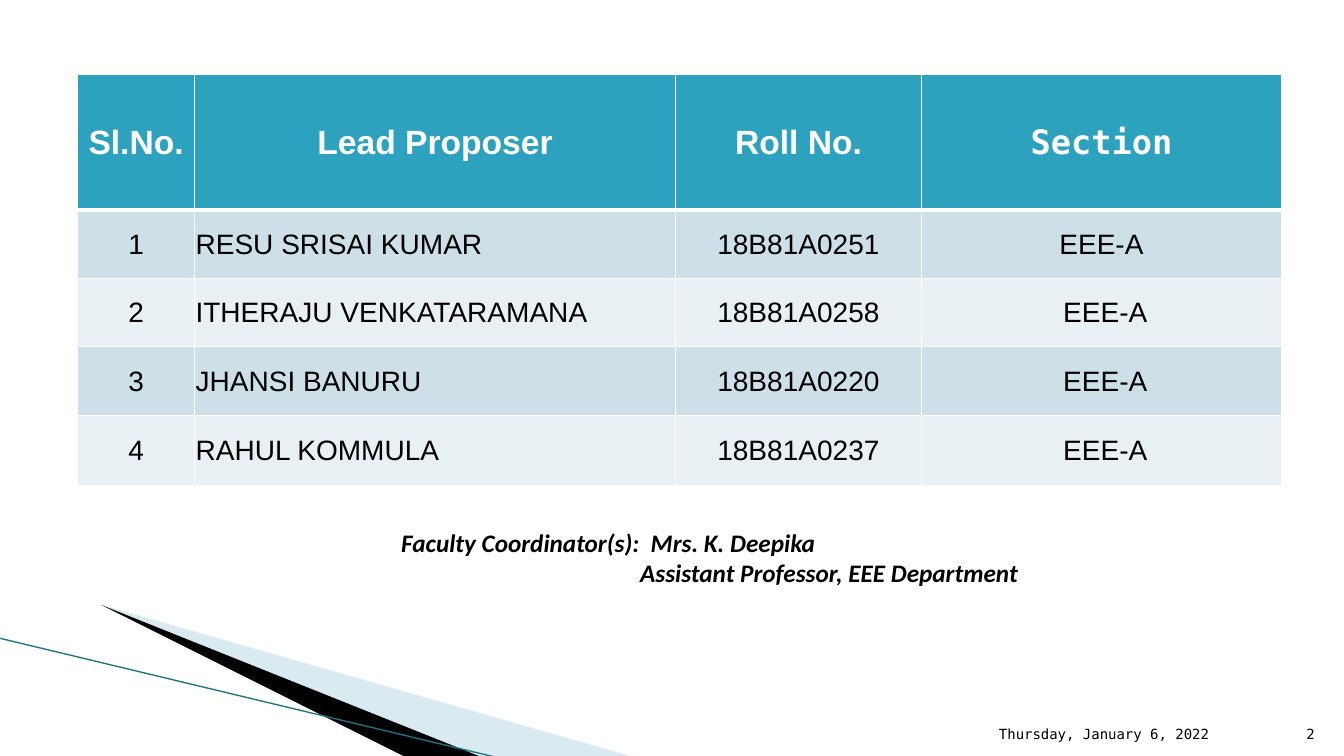
from lxml import etree
from pptx import Presentation
from pptx.dml.color import RGBColor
from pptx.enum import shapes, text
from pptx.oxml import ns
from pptx.util import Inches, Pt

# Content
HEADER = ("Sl.No.", "Lead Proposer", "Roll No.", "Section")
STUDENTS = [
    ("1", "RESU SRISAI KUMAR", "18B81A0251", "EEE-A"),
    ("2", "ITHERAJU VENKATARAMANA", "18B81A0258", " EEE-A"),
    ("3", "JHANSI BANURU", "18B81A0220", " EEE-A"),
    ("4", "RAHUL KOMMULA", "18B81A0237", " EEE-A"),
]
COLUMN_WIDTHS = (1.16, 4.77, 2.44, 3.57)
ROW_HEIGHTS = (1.34, 0.68, 0.68, 0.68, 0.7)
HEADER_FILL, BAND_FILLS = "2DA2BF", ("CDE0E8", "E8F0F4")
MONO = "DejaVu Sans Mono"
LEFT, CENTER, RIGHT = (text.PP_ALIGN.LEFT, text.PP_ALIGN.CENTER, text.PP_ALIGN.RIGHT)

HEADER_FONT = {"name": "Arial", "size": Pt(24), "bold": True}
BODY_FONT = {"name": "Arial", "size": Pt(20), "bold": False}
FOOTER_FONT = {"name": MONO, "size": Pt(10)}
COORDINATOR_FONT = {"name": "Calibri", "size": Pt(18), "bold": True, "italic": True}

# Corner wedges: points, fill, opacity in percent
WEDGES = [
    ([(0.73, 6.5), (7.93, 7.51), (6.08, 7.51)], "A0CBDC", 40),
    ([(0.71, 6.49), (6.09, 7.51), (4.96, 7.52)], "000000", 100),
]
EDGE = ((-0.01, 6.33), (4.95, 7.52))

# Text boxes: place, anchor, lines as (text, alignment, left indent), font
TEXT_BOXES = [
    ((9.81, 7.01, 2.8, 0.4), text.MSO_ANCHOR.BOTTOM,
     [("Thursday, January 6, 2022", LEFT, 0)], FOOTER_FONT),
    ((12.61, 7.01, 0.53, 0.4), text.MSO_ANCHOR.BOTTOM,
     [("2", RIGHT, 0)], FOOTER_FONT),
    ((3.88, 5.18, 9.45, 0.71), text.MSO_ANCHOR.TOP,
     [("Faculty Coordinator(s):  Mrs. K. Deepika", LEFT, 0),
      ("Assistant Professor, EEE Department", LEFT, 2.37)], COORDINATOR_FONT),
]


def color(value):
    return RGBColor.from_string(value)


def write(paragraph, line, alignment, font, font_color="000000"):
    run = paragraph.add_run()
    run.text = line
    paragraph.alignment = alignment
    for name, value in font.items():
        setattr(run.font, name, value)
    run.font.color.rgb = color(font_color)


def add_borders(cell, widths):
    properties = cell._tc.get_or_add_tcPr()
    for side, width in widths.items():
        line = etree.SubElement(properties, ns.qn("a:ln" + side), w=str(Pt(width)))
        fill = etree.SubElement(line, ns.qn("a:solidFill"))
        etree.SubElement(fill, ns.qn("a:srgbClr"), val="FFFFFF")


presentation = Presentation()
presentation.slide_width, presentation.slide_height = Inches(13.33), Inches(7.5)
slide = presentation.slides.add_slide(presentation.slide_layouts[6])

# Corner decoration
for points, fill, opacity in WEDGES:
    builder = slide.shapes.build_freeform(*points[0], scale=Inches(1))
    builder.add_line_segments(points[1:])
    wedge = builder.convert_to_shape()
    wedge.shadow.inherit = False
    wedge.line.fill.background()
    wedge.fill.solid()
    wedge.fill.fore_color.rgb = color(fill)
    if opacity < 100:
        fill_color = wedge._element.spPr.find(".//" + ns.qn("a:srgbClr"))
        etree.SubElement(fill_color, ns.qn("a:alpha"), val=str(opacity * 1000))

edge = slide.shapes.add_connector(
    shapes.MSO_CONNECTOR.STRAIGHT, *(Inches(v) for point in EDGE for v in point))
edge.line.width = Pt(0.95)
edge.line.color.rgb = color("1B7587")
etree.SubElement(edge._element.spPr, ns.qn("a:effectLst"))

# Student table
rows = [HEADER, *STUDENTS]
place = (0.77, 0.74, sum(COLUMN_WIDTHS), sum(ROW_HEIGHTS))
table = slide.shapes.add_table(
    len(rows), len(HEADER), *(Inches(v) for v in place)).table
for column, width in zip(table.columns, COLUMN_WIDTHS):
    column.width = Inches(width)
for row, height in zip(table.rows, ROW_HEIGHTS):
    row.height = Inches(height)

for r, values in enumerate(rows):
    is_header = r == 0
    borders = {"L": 1, "R": 1, "T": 3 if r == 1 else 1, "B": 3 if is_header else 1}
    for c, value in enumerate(values):
        cell = table.cell(r, c)
        add_borders(cell, borders)
        cell.fill.solid()
        cell.fill.fore_color.rgb = color(
            HEADER_FILL if is_header else BAND_FILLS[(r - 1) % 2])
        cell.vertical_anchor = text.MSO_ANCHOR.MIDDLE
        cell.margin_left = cell.margin_right = cell.margin_top = Inches(0.01)
        cell.margin_bottom = 0
        font = dict(HEADER_FONT if is_header else BODY_FONT)
        if value == "Section":
            font["name"] = MONO
        alignment = LEFT if c == 1 and not is_header else CENTER
        write(cell.text_frame.paragraphs[0], value, alignment, font,
              "FFFFFF" if is_header else "000000")

# Footer and coordinator
for place, anchor, lines, font in TEXT_BOXES:
    frame = slide.shapes.add_textbox(*(Inches(v) for v in place)).text_frame
    frame.word_wrap = True
    frame.vertical_anchor = anchor
    for i, (line, alignment, indent) in enumerate(lines):
        paragraph = frame.add_paragraph() if i else frame.paragraphs[0]
        write(paragraph, line, alignment, font)
        if indent:
            paragraph._p.get_or_add_pPr().set("marL", str(Inches(indent)))

presentation.save("out.pptx")
